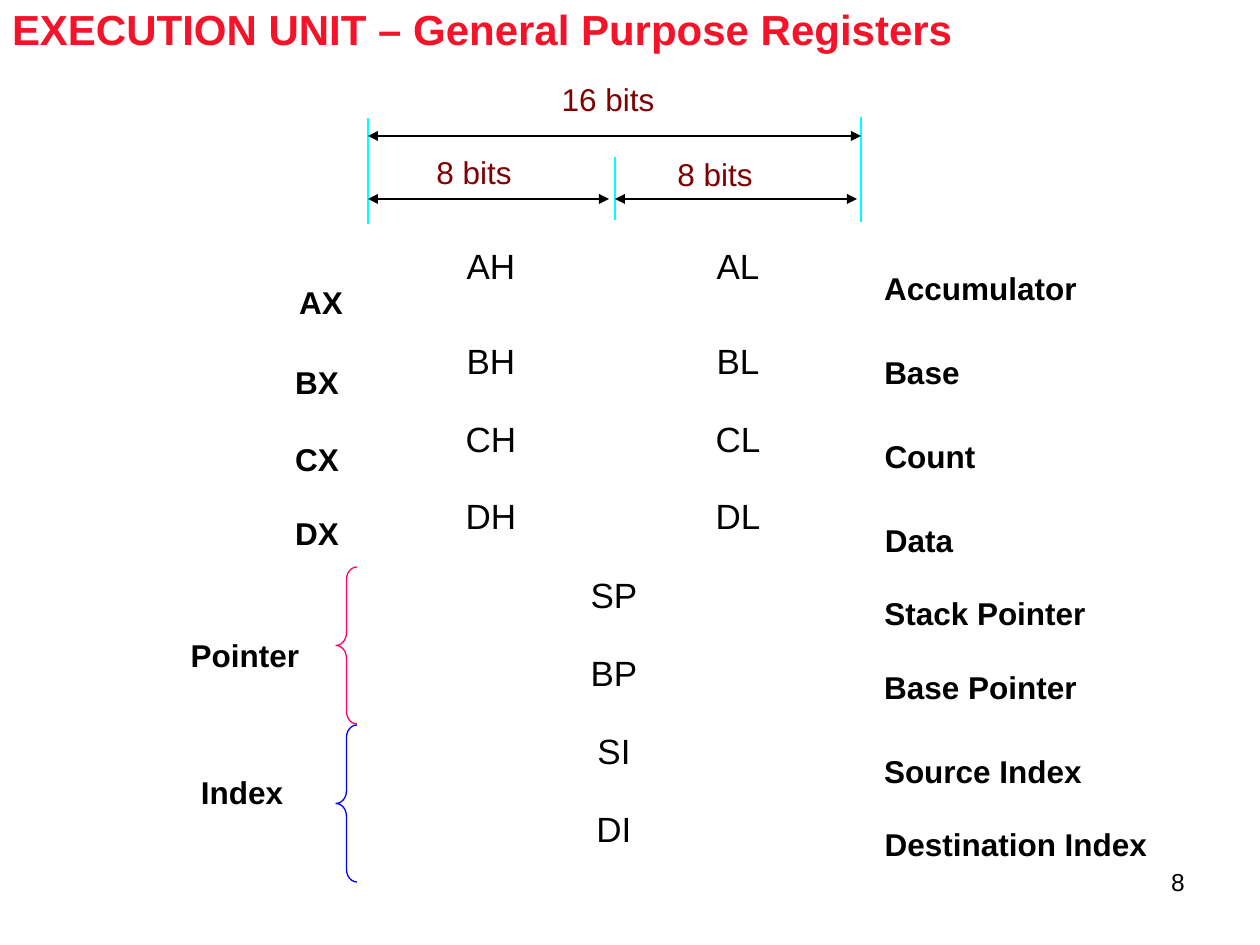
from pptx import Presentation, util as u
from pptx.dml.color import RGBColor
from pptx.enum import shapes, text
from pptx.oxml.ns import qn
from lxml import etree

PX = 914400 / 126
INK = {"title": "F51329", "text": "000000", "bits": "7F0000", "tick": "00FFFF",
       "pointer": "FF0066", "index": "0000FF"}
TITLE = "EXECUTION UNIT – General Purpose Registers"
HIGH, LOW, WIDE, ROLE = 491, 738, 614, 883
TOP, STEP, HEAD = 338, 78, 10
FIRST = ("AH", 52, "AL", 46, 243)
HALVES = [("BH", 52, "BL", 46), ("CH", 54, "CL", 48), ("DH", 54, "DL", 48)]
WHOLE = [("SP", 50), ("BP", 50), ("SI", 37), ("DI", 39)]
NAMES = [("AX", 321, 282, 47), ("BX", 317, 362, 47), ("CX", 317, 439, 47),
         ("DX", 317, 513, 48), ("Pointer", 245, 635, 112), ("Index", 242, 772, 86)]
ROLES = [("Accumulator", 268, 195), ("Base", 352, 78), ("Count", 436, 94),
         ("Data", 520, 72), ("Stack Pointer", 593, 204), ("Base Pointer", 667, 195),
         ("Source Index", 751, 200), ("Destination Index", 824, 266)]
BITS = [("16 bits", 608, 79, 96), ("8 bits", 474, 152, 78), ("8 bits", 715, 154, 78)]
TICKS = [(368, 118, 224), (615, 157, 220), (861, 117, 222)]
SPANS = [(368, 861, 136), (368, 609, 199), (615, 857, 199)]
BRACES = [("pointer", 567), ("index", 725)]


def px(*vals):
    return [u.Emu(round(v * PX)) for v in vals]


def style(frame, words, size, ink, bold, align):
    frame.margin_left = frame.margin_right = frame.margin_bottom = 0
    frame.margin_top = px(1)[0]
    frame.vertical_anchor = text.MSO_ANCHOR.TOP
    frame.text = words
    para = frame.paragraphs[0]
    para.alignment = align
    font = para.runs[0].font
    font.name, font.size, font.bold = "Arial", u.Pt(size), bold
    font.color.rgb = RGBColor.from_string(INK[ink])


def label(words, x, y, wide, size=18, ink="text", bold=False):
    box = slide.shapes.add_textbox(*px(x - wide / 2, y, wide, size * 2 + 5))
    style(box.text_frame, words, size, ink, bold, text.PP_ALIGN.CENTER)
    box.text_frame.word_wrap = False


def rule(x1, y1, x2, y2, ink):
    line = slide.shapes.add_connector(shapes.MSO_CONNECTOR.STRAIGHT, *px(x1, y1, x2, y2))
    line.line.color.rgb = RGBColor.from_string(INK[ink])
    line.line.width = u.Pt(0.75)
    etree.SubElement(line._element.spPr, qn("a:effectLst"))


def head(tip, back, y):
    half = HEAD / 2
    form = slide.shapes.build_freeform(*px(tip, y), scale=1.0)
    form.add_line_segments([px(back, y - half), px(back, y + half)], close=True)
    wedge = form.convert_to_shape()
    wedge.shadow.inherit = False
    wedge.fill.solid()
    wedge.fill.fore_color.rgb = RGBColor.from_string(INK["text"])
    wedge.line.fill.background()


deck = Presentation()
deck.slide_width, deck.slide_height = px(1260, 945)
slide = deck.slides.add_slide(deck.slide_layouts[5])

title = slide.shapes.title
title.left, title.top, title.width, title.height = px(12, 3, 943, 54)
style(title.text_frame, TITLE, 24, "title", True, text.PP_ALIGN.LEFT)
title.text_frame.word_wrap = False

for x, top, low in TICKS:
    rule(x, top, x, low, "tick")
for start, end, y in SPANS:
    rule(start + HEAD - 1, y, end - HEAD + 1, y, "text")
    head(start, start + HEAD, y)
    head(end, end - HEAD, y)
for words, x, y, wide in BITS:
    label(words, x, y, wide, ink="bits")

rows = [FIRST] + [(*row, TOP + i * STEP) for i, row in enumerate(HALVES)]
for high, hwide, low, lwide, y in rows:
    label(high, HIGH, y, hwide, 20)
    label(low, LOW, y, lwide, 20)
for i, (name, wide) in enumerate(WHOLE, len(HALVES)):
    label(name, WIDE, TOP + i * STEP, wide, 20)

for name, x, y, wide in NAMES:
    label(name, x, y, wide, bold=True)
for role, y, wide in ROLES:
    label(role, ROLE + wide / 2, y, wide, bold=True)

for ink, y in BRACES:
    brace = slide.shapes.add_shape(shapes.MSO_SHAPE.LEFT_BRACE, *px(336, y, 21, 157))
    brace.adjustments[0] = 0.6
    brace.shadow.inherit = False
    brace.fill.background()
    brace.line.color.rgb = RGBColor.from_string(INK[ink])
    brace.line.width = u.Pt(0.75)

label("8", 1178, 866, 18, 14)
deck.save("out.pptx")
